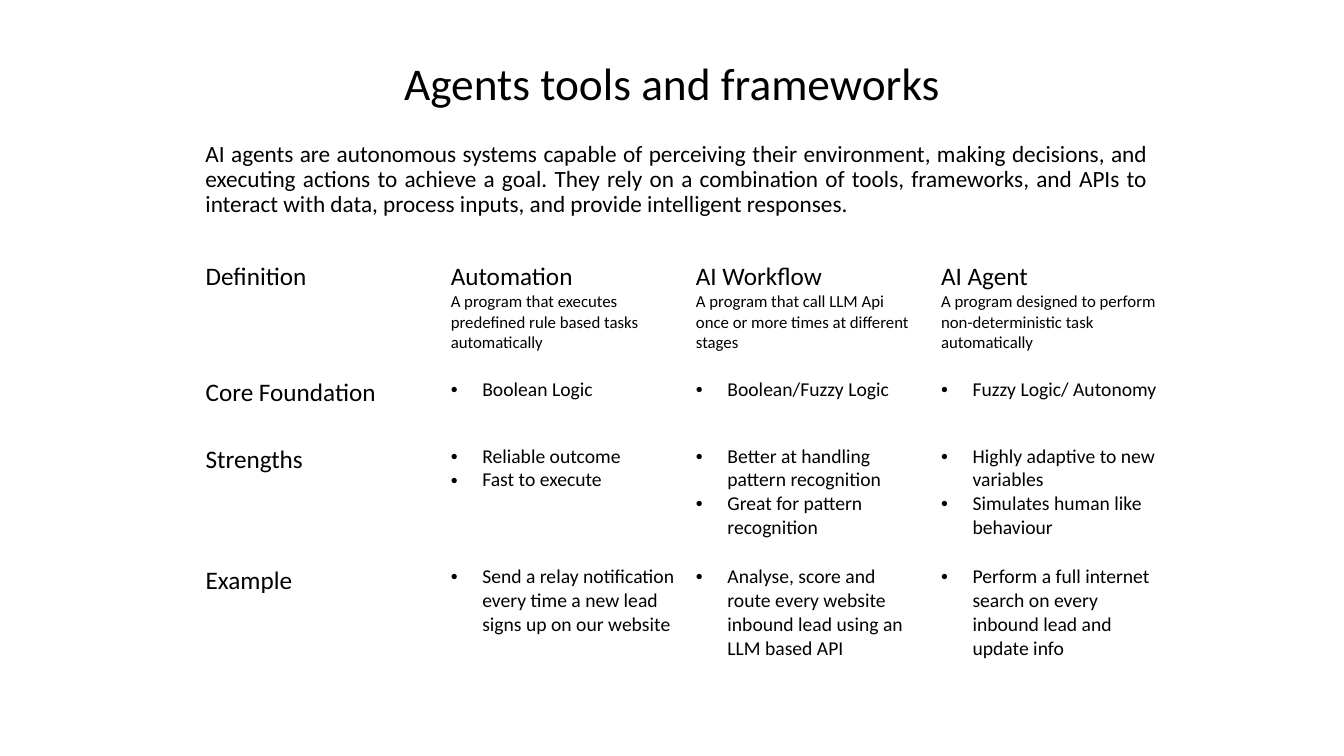
from lxml import etree
from pptx import Presentation
from pptx.dml.color import RGBColor
from pptx.enum import text
from pptx.oxml.ns import qn
from pptx.util import Pt

BLACK = RGBColor(0x00, 0x00, 0x00)
FONT = "Calibri"
INDENT = Pt(22.5)
HEADING_SIZE = 18
DEFINITION_SIZE = 12
BULLET_SIZE = 14

TITLE = "Agents tools and frameworks"
INTRO = (
    "AI agents are autonomous systems capable of perceiving their environment, "
    "making decisions, and executing actions to achieve a goal. They rely on a "
    "combination of tools, frameworks, and APIs to interact with data, process "
    "inputs, and provide intelligent responses."
)
APPROACHES = [
    ("Automation", "A program that executes predefined rule based tasks automatically"),
    ("AI Workflow", "A program that call LLM Api once or more times at different stages"),
    ("AI Agent", "A program designed to perform non-deterministic task automatically"),
]
COMPARISON = [
    ("Core Foundation", [
        ["Boolean Logic"],
        ["Boolean/Fuzzy Logic"],
        ["Fuzzy Logic/ Autonomy"],
    ]),
    ("Strengths", [
        ["Reliable outcome", "Fast to execute"],
        ["Better at handling pattern recognition", "Great for pattern recognition"],
        ["Highly adaptive to new variables", "Simulates human like behaviour"],
    ]),
    ("Example", [
        ["Send a relay notification every time a new lead signs up on our website"],
        ["Analyse, score and route every website inbound lead using an LLM based API"],
        ["Perform a full internet search on every inbound lead and update info"],
    ]),
]
ROW_HEIGHTS = [83.5, 47.5, 86.2, 86.2]
COLUMN_WIDTH = 175.1


def write_paragraph(frame, index, wording, size):
    paragraph = frame.paragraphs[0] if index == 0 else frame.add_paragraph()
    paragraph.text = wording
    paragraph.font.name = FONT
    paragraph.font.size = Pt(size)
    paragraph.font.color.rgb = BLACK
    return paragraph


def add_bullet(paragraph):
    properties = paragraph._p.get_or_add_pPr()
    properties.set("marL", str(INDENT))
    properties.set("indent", str(-INDENT))
    etree.SubElement(properties, qn("a:buFont")).set("typeface", "Arial")
    etree.SubElement(properties, qn("a:buChar")).set("char", "•")


presentation = Presentation()
presentation.slide_width = Pt(960)
presentation.slide_height = Pt(540)
slide = presentation.slides.add_slide(presentation.slide_layouts[6])

for box, wording, size, alignment, anchor, space_before in [
    ((120, 40.3, 720, 41.8), TITLE, 32.4, text.PP_ALIGN.CENTER, text.MSO_ANCHOR.BOTTOM, 0),
    ((139.7, 97.9, 686.2, 68.4), INTRO, 16.6, text.PP_ALIGN.JUSTIFY, text.MSO_ANCHOR.TOP, 10),
]:
    frame = slide.shapes.add_textbox(*map(Pt, box)).text_frame
    frame.word_wrap = True
    frame.vertical_anchor = anchor
    paragraph = write_paragraph(frame, 0, wording, size)
    paragraph.alignment = alignment
    paragraph.line_spacing = 0.9
    paragraph.space_before = Pt(space_before)

table = slide.shapes.add_table(
    len(ROW_HEIGHTS), 4, Pt(139.7), Pt(182.9), Pt(4 * COLUMN_WIDTH), Pt(sum(ROW_HEIGHTS))
).table
table.first_row = False
table.horz_banding = False
for column in table.columns:
    column.width = Pt(COLUMN_WIDTH)
for row, height in zip(table.rows, ROW_HEIGHTS):
    row.height = Pt(height)
for cell in table.iter_cells():
    cell.fill.background()

write_paragraph(table.cell(0, 0).text_frame, 0, "Definition", HEADING_SIZE)
for column_index, (approach, definition) in enumerate(APPROACHES, 1):
    frame = table.cell(0, column_index).text_frame
    write_paragraph(frame, 0, approach, HEADING_SIZE)
    write_paragraph(frame, 1, definition, DEFINITION_SIZE)

for row_index, (heading, entries) in enumerate(COMPARISON, 1):
    write_paragraph(table.cell(row_index, 0).text_frame, 0, heading, HEADING_SIZE)
    for column_index, points in enumerate(entries, 1):
        frame = table.cell(row_index, column_index).text_frame
        for index, point in enumerate(points):
            add_bullet(write_paragraph(frame, index, point, BULLET_SIZE))

presentation.save("out.pptx")
